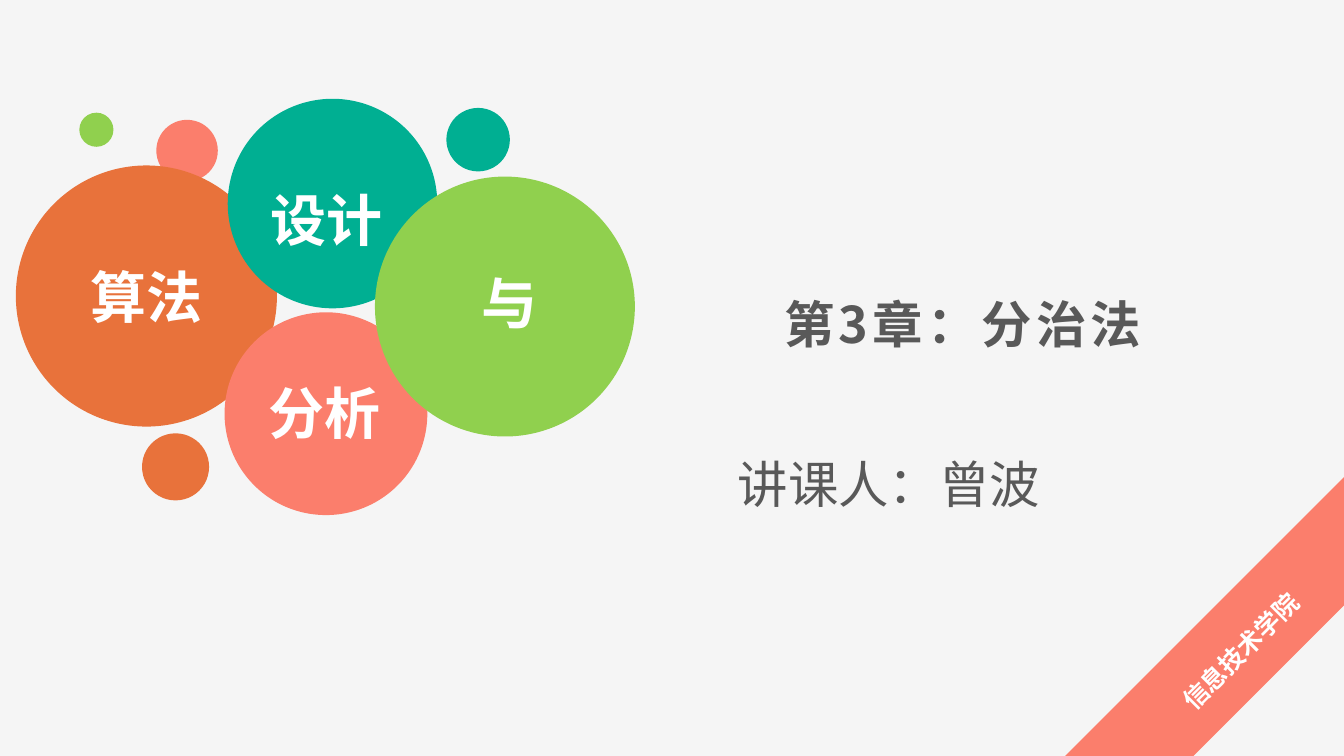
from lxml import etree
from pptx import Presentation
from pptx.dml.color import RGBColor
from pptx.enum import shapes, text
from pptx.oxml import ns
from pptx.util import Cm, Pt

# Content: lengths in cm
W, H = 33.87, 19.05
CJK, LATIN = "Noto Sans CJK SC", "Arial"
GREY, WHITE, PAPER = "595959", "FFFFFF", "F5F5F5"
ORANGE, TEAL, CORAL, GREEN = "E8723B", "00AF92", "FB7E6C", "90D04E"

# (left, top, diameter, colour)
dots = [
    (3.58, 10.92, 1.69, ORANGE),
    (11.25, 2.72, 1.6, TEAL),
    (3.94, 3.02, 1.55, CORAL),
    (2, 2.84, 0.86, GREEN),
]
# (circle, word, label box)
bubbles = [
    ((0.4, 4.17, 6.58, ORANGE), "算法", (1.3, 6.5, 4.78, 1.91)),
    ((5.74, 2.49, 5.28, TEAL), "设计", (6.5, 4.55, 3.45, 1.96)),
    ((5.66, 7.87, 5.11, CORAL), "分析", (6.45, 9.42, 3.45, 1.96)),
    ((9.45, 4.45, 6.55, GREEN), "与", (10.74, 6.65, 4.22, 1.96)),
]
title = ("第3章：分治法", (12.85, 7.26, 22.83, 1.8))
lecturer = ("讲课人：曾波", (18.34, 10.54, 11.94, 3.91))
school = ("信息技术学院", (29.03, 15.85, 4.37, 1.04))
STRIPE = 7.03


def paint(fill, colour):
    fill.solid()
    fill.fore_color.rgb = RGBColor.from_string(colour)


def add_shape(kind, left, top, size, colour):
    sp = s.shapes.add_shape(kind, Cm(left), Cm(top), Cm(size), Cm(size))
    sp.shadow.inherit = False
    sp.line.fill.background()
    paint(sp.fill, colour)
    return sp


def add_text(words, box, *, size, colour, font=CJK, bold=False, center=True,
             middle=False, wrap=True, leading=None, spacing=0, rotation=0):
    sp = s.shapes.add_textbox(*(Cm(v) for v in box))
    sp.rotation = rotation
    tf = sp.text_frame
    tf.word_wrap = wrap
    tf.auto_size = text.MSO_AUTO_SIZE.SHAPE_TO_FIT_TEXT
    tf.vertical_anchor = text.MSO_ANCHOR.MIDDLE if middle else text.MSO_ANCHOR.TOP
    p = tf.paragraphs[0]
    p.alignment = text.PP_ALIGN.CENTER if center else text.PP_ALIGN.LEFT
    p.line_spacing = leading
    r = p.add_run()
    r.text = words
    r.font.size, r.font.bold, r.font.name = Pt(size), bold, font
    paint(r.font.fill, colour)
    # East Asian typeface and letter spacing
    rpr = r.font._element
    etree.SubElement(rpr, ns.qn("a:ea")).set("typeface", CJK)
    if spacing:
        rpr.set("spc", str(spacing * 100))


prs = Presentation()
prs.slide_width, prs.slide_height = Cm(W), Cm(H)
s = prs.slides.add_slide(prs.slide_layouts[6])
paint(s.background.fill, PAPER)

# Chapter title and lecturer
add_text(*title, size=36, colour=GREY, bold=True, spacing=3)
add_text(*lecturer, size=36, colour=GREY, center=False, leading=1.5)

# Course name in bubbles
for dot in dots:
    add_shape(shapes.MSO_SHAPE.OVAL, *dot)
for circle, word, box in bubbles:
    add_shape(shapes.MSO_SHAPE.OVAL, *circle)
    add_text(word, box, size=40, colour=WHITE, font=LATIN, bold=True,
             middle=word == "算法")

# Corner ribbon
ribbon = add_shape(shapes.MSO_SHAPE.DIAGONAL_STRIPE, W - STRIPE, H - STRIPE,
                   STRIPE, CORAL)
ribbon.adjustments[0] = 0.54
ribbon.rotation = 180
add_text(*school, size=18, colour=WHITE, bold=True, wrap=False, leading=1.1,
         rotation=315)

prs.save("out.pptx")
